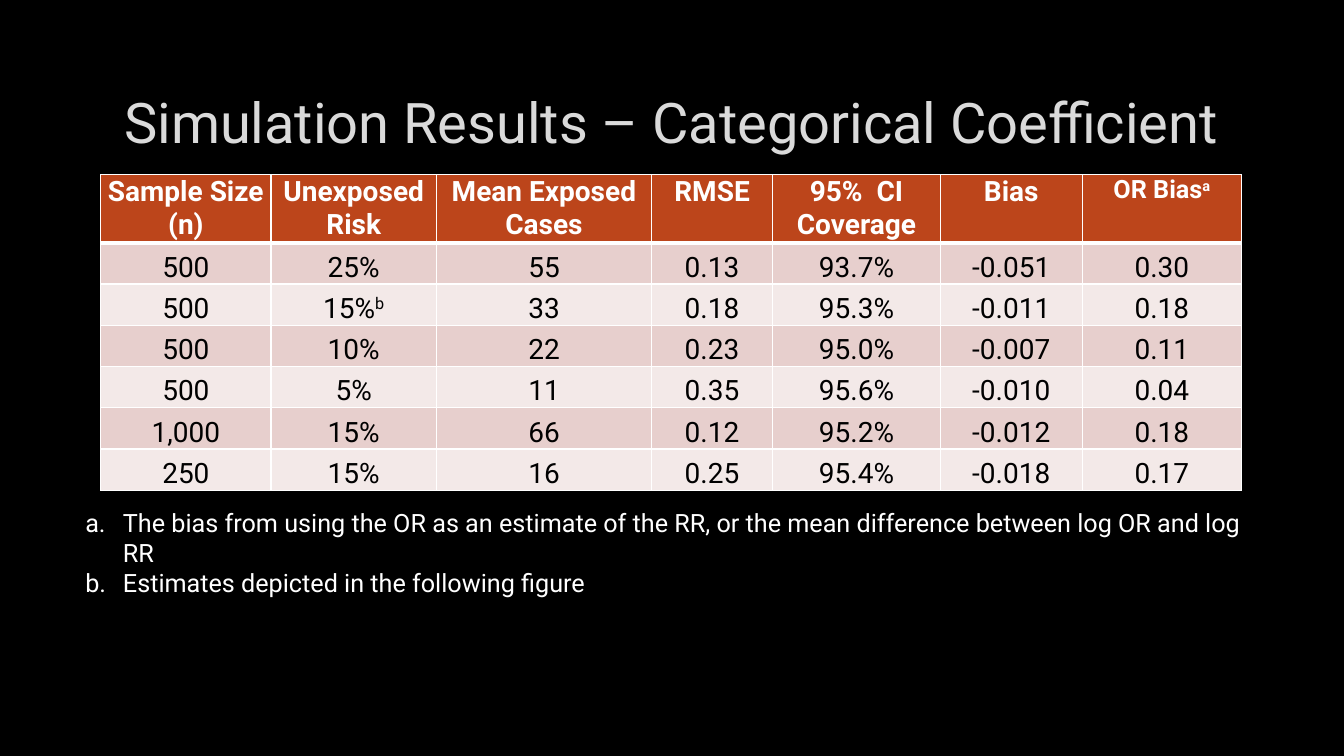
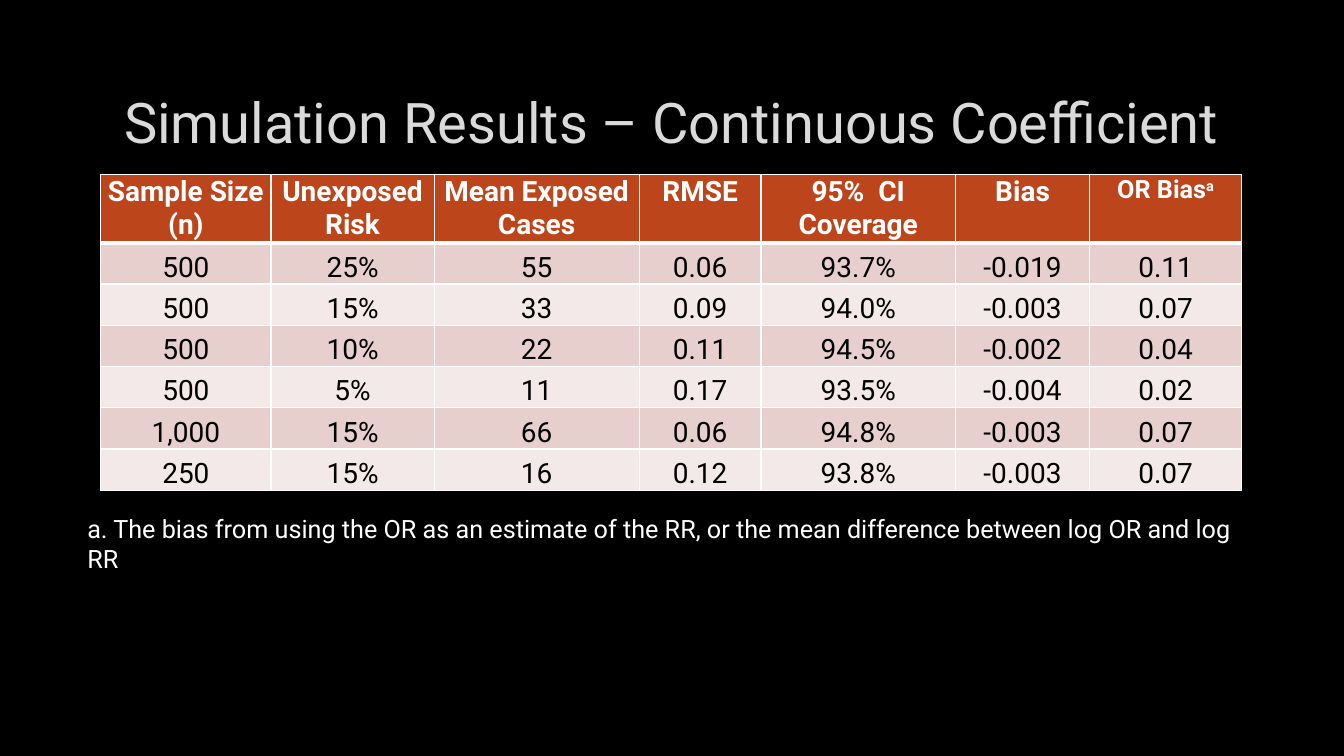
from dataclasses import dataclass

from lxml import etree
from pptx import Presentation
from pptx.dml.color import RGBColor
from pptx.enum import text
from pptx.oxml import ns
from pptx.util import Cm, Pt


@dataclass(frozen=True)
class Theme:
    font: str = "Roboto"
    background: str = "000000"
    title: str = "DADADA"
    title_outline: str = "404040"
    white: str = "FFFFFF"
    body: str = "000000"
    header_fill: str = "BC451B"
    bands: tuple = ("E7CFCD", "F3E9E8")
    title_size: int = 40
    table_size: int = 20
    small_size: int = 18


THEME = Theme()

# "^" starts a superscript, a line break starts a new paragraph.
HEADERS = ["Sample Size (n)", "Unexposed Risk", "Mean Exposed Cases", "RMSE",
           "95%  CI\nCoverage", "Bias", "OR Bias^a"]
BIAS_NOTE = ("The bias from using the OR as an estimate of the RR, "
             "or the mean difference between log OR and log RR")

SLIDES = [
    dict(
        title="Simulation Results – Categorical Coefficient",
        widths=[4.29, 4.17, 5.42, 3.05, 4.23, 3.57, 4.02],
        rows=[
            ["500", "25%", "55", "0.13", "93.7%", "-0.051", "0.30"],
            ["500", "15%^b", "33", "0.18", "95.3%", "-0.011", "0.18"],
            ["500", "10%", "22", "0.23", "95.0%", "-0.007", "0.11"],
            ["500", "5%", "11", "0.35", "95.6%", "-0.010", "0.04"],
            ["1,000", "15%", "66", "0.12", "95.2%", "-0.012", "0.18"],
            ["250", "15%", "16", "0.25", "95.4%", "-0.018", "0.17"],
        ],
        notes=BIAS_NOTE + "\nEstimates depicted in the following figure",
        notes_box=(1.9, 12.65, 30.05, 1.8),
        numbered=True,
    ),
    dict(
        title="Simulation Results – Continuous Coefficient",
        widths=[4.29, 4.11, 5.17, 3.07, 4.9, 3.38, 3.83],
        rows=[
            ["500", "25%", "55", "0.06", "93.7%", "-0.019", "0.11"],
            ["500", "15%", "33", "0.09", "94.0%", "-0.003", "0.07"],
            ["500", "10%", "22", "0.11", "94.5%", "-0.002", "0.04"],
            ["500", "5%", "11", "0.17", "93.5%", "-0.004", "0.02"],
            ["1,000", "15%", "66", "0.06", "94.8%", "-0.003", "0.07"],
            ["250", "15%", "16", "0.12", "93.8%", "-0.003", "0.07"],
        ],
        notes="a. " + BIAS_NOTE,
        notes_box=(1.95, 12.8, 29.92, 1.02),
        numbered=False,
    ),
]

TITLE_BOX = (2.54, 1.7, 28.75, 2.69)
TABLE_LEFT, TABLE_TOP = 2.54, 4.4
HEADER_HEIGHT, ROW_HEIGHT = 1.65, 1.04


def add_line(parent, tag, color, width, alpha=100):
    """Append a solid line element, for a cell border or a text outline."""
    ln = etree.SubElement(parent, ns.qn(tag), w=str(Pt(width)))
    fill = etree.SubElement(ln, ns.qn("a:solidFill"))
    clr = etree.SubElement(fill, ns.qn("a:srgbClr"), val=color)
    if alpha < 100:
        etree.SubElement(clr, ns.qn("a:alpha"), val=str(alpha * 1000))
    return ln


def write_text(tf, content, size, color, bold=False, align=None):
    for i, line in enumerate(content.split("\n")):
        p = tf.add_paragraph() if i else tf.paragraphs[0]
        p.alignment = align
        for j, part in enumerate(line.split("^")):
            r = p.add_run()
            r.text = part
            r.font.name = THEME.font
            r.font.size = Pt(size)
            r.font.bold = bold
            r.font.color.rgb = RGBColor.from_string(color)
            if j:
                r.font._element.set("baseline", "30000")


def add_text_box(s, box):
    tf = s.shapes.add_textbox(*map(Cm, box)).text_frame
    tf.word_wrap = True
    return tf


def add_title(s, title):
    tf = add_text_box(s, TITLE_BOX)
    tf.vertical_anchor = text.MSO_ANCHOR.MIDDLE
    write_text(tf, title, THEME.title_size, THEME.title,
               align=text.PP_ALIGN.CENTER)
    rPr = tf.paragraphs[0].runs[0].font._element
    rPr.insert(0, add_line(rPr, "a:ln", THEME.title_outline, 0.75, alpha=10))


def style_cell(cell, content, row):
    is_header = row == 0
    cell.margin_left = cell.margin_right = cell.margin_top = Cm(0.02)
    cell.margin_bottom = 0
    cell.vertical_anchor = (text.MSO_ANCHOR.TOP if is_header
                            else text.MSO_ANCHOR.BOTTOM)
    tcPr = cell._tc.get_or_add_tcPr()
    heavy = {0: "a:lnB", 1: "a:lnT"}.get(row)
    for side in ("a:lnL", "a:lnR", "a:lnT", "a:lnB"):
        add_line(tcPr, side, THEME.white, 3 if side == heavy else 1)
    cell.fill.solid()
    cell.fill.fore_color.rgb = RGBColor.from_string(
        THEME.header_fill if is_header else THEME.bands[(row - 1) % 2])
    small = is_header and "^" in content
    write_text(cell.text_frame, content,
               THEME.small_size if small else THEME.table_size,
               THEME.white if is_header else THEME.body,
               bold=is_header, align=text.PP_ALIGN.CENTER)


def add_results_table(s, widths, rows):
    heights = [HEADER_HEIGHT] + [ROW_HEIGHT] * len(rows)
    table = s.shapes.add_table(
        len(heights), len(widths), Cm(TABLE_LEFT), Cm(TABLE_TOP),
        Cm(sum(widths)), Cm(sum(heights))).table
    for column, width in zip(table.columns, widths):
        column.width = Cm(width)
    for i, (height, values) in enumerate(zip(heights, [HEADERS] + rows)):
        table.rows[i].height = Cm(height)
        for j, value in enumerate(values):
            style_cell(table.cell(i, j), value, i)


def add_notes(s, notes, box, numbered):
    tf = add_text_box(s, box)
    tf.auto_size = text.MSO_AUTO_SIZE.SHAPE_TO_FIT_TEXT
    write_text(tf, notes, THEME.small_size, THEME.white)
    if numbered:
        for p in tf.paragraphs:
            pPr = p._p.get_or_add_pPr()
            pPr.set("marL", str(Cm(0.95)))
            pPr.set("indent", str(-Cm(0.95)))
            etree.SubElement(pPr, ns.qn("a:buFont"), typeface=THEME.font)
            etree.SubElement(pPr, ns.qn("a:buAutoNum"), type="alphaLcPeriod")


def main():
    prs = Presentation()
    prs.slide_width, prs.slide_height = Cm(33.87), Cm(19.05)
    background = prs.slide_master.background.fill
    background.solid()
    background.fore_color.rgb = RGBColor.from_string(THEME.background)
    for content in SLIDES:
        s = prs.slides.add_slide(prs.slide_layouts[6])
        add_title(s, content["title"])
        add_results_table(s, content["widths"], content["rows"])
        add_notes(s, content["notes"], content["notes_box"],
                  content["numbered"])
    prs.save("out.pptx")


if __name__ == "__main__":
    main()
